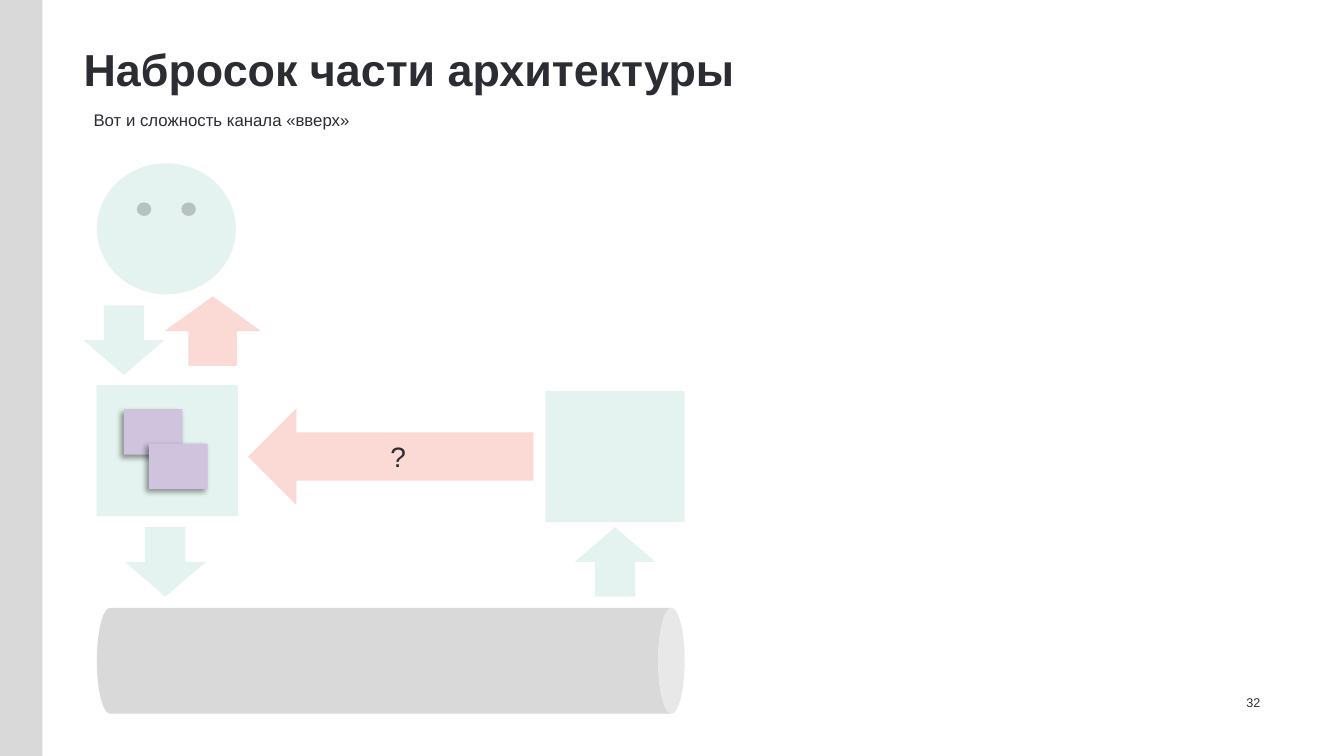
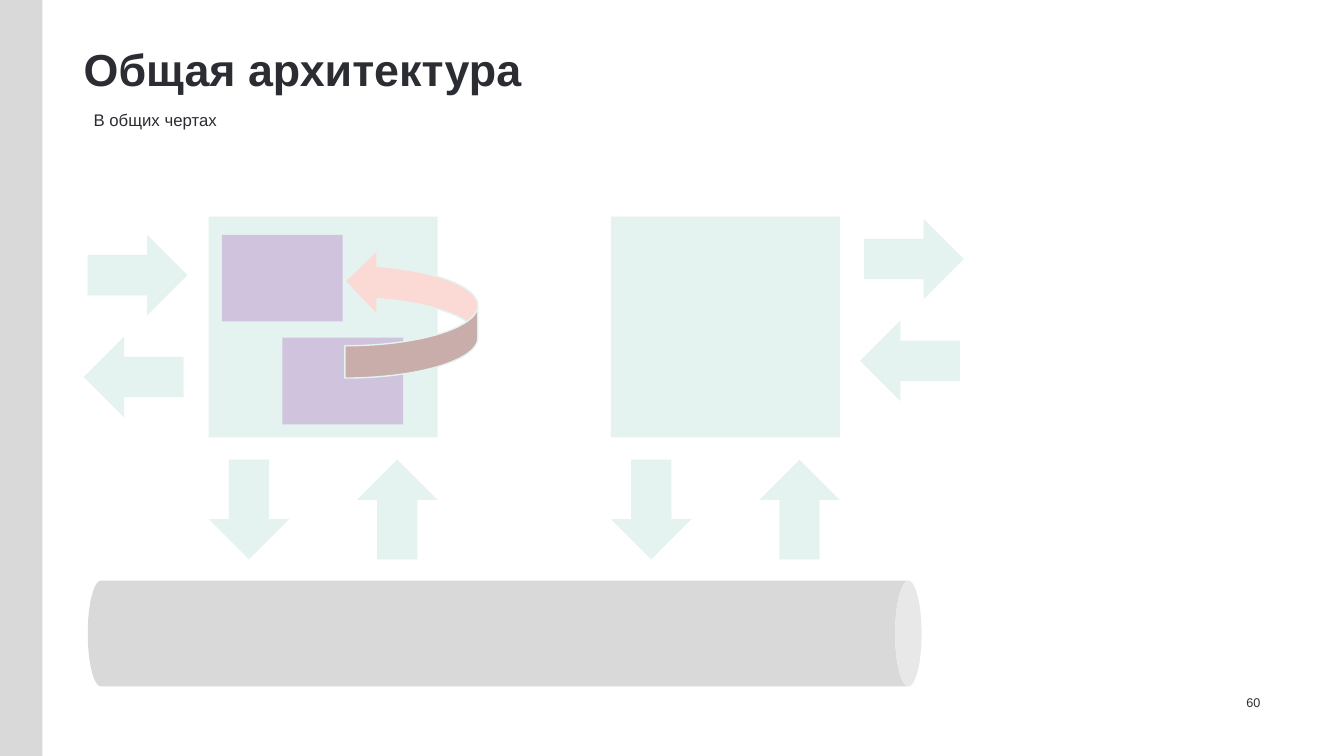
from dataclasses import dataclass

from lxml.etree import SubElement
from pptx import Presentation
from pptx.dml.color import RGBColor
from pptx.enum.shapes import MSO_SHAPE
from pptx.enum.text import MSO_ANCHOR, PP_ALIGN
from pptx.oxml.ns import qn
from pptx.util import Inches, Pt


@dataclass(frozen=True)
class Theme:
    font: str = "Arial"
    ink: str = "2B2D33"
    grey: str = "D9D9D9"
    mint: str = "E5F3F0"
    pink: str = "FBD9D5"
    lilac: str = "CFC3DD"
    shadow: str = "000000"
    title_size: int = 32
    mark_size: int = 20
    subtitle_size: int = 12
    number_size: int = 9


@dataclass(frozen=True)
class Box:
    """A rectangle in inches, as it is seen on the slide."""
    left: float
    top: float
    width: float
    height: float

    def inner(self, left, top, width, height):
        return Box(self.left + left, self.top + top, width, height)

    def turned(self):
        """The upright frame that covers this box after a quarter turn."""
        shift = (self.width - self.height) / 2
        return self.inner(shift, -shift, self.height, self.width)

    def lengths(self):
        return [Inches(side) for side in (self.left, self.top, self.width, self.height)]


THEME = Theme()
ARROW_ACROSS = 0.8


def add_figure(page, preset, box, color, rotation=0):
    figure = page.shapes.add_shape(preset, *box.lengths())
    figure.shadow.inherit = False
    figure.fill.solid()
    figure.fill.fore_color.rgb = RGBColor.from_string(color)
    figure.line.fill.background()
    figure.rotation = rotation
    return figure


def add_text(page, box, text, size, bold=False, align=PP_ALIGN.LEFT,
             anchor=MSO_ANCHOR.TOP, left_inset=0.1, right_inset=0.1,
             wrap=True, line_spacing=1.0):
    frame = page.shapes.add_textbox(*box.lengths()).text_frame
    frame.word_wrap = wrap
    frame.vertical_anchor = anchor
    frame.margin_left, frame.margin_right = Inches(left_inset), Inches(right_inset)
    para = frame.paragraphs[0]
    para.text = text
    para.alignment = align
    para.line_spacing = line_spacing
    para.font.name = THEME.font
    para.font.size = Pt(size)
    para.font.bold = bold
    para.font.color.rgb = RGBColor.from_string(THEME.ink)


def add_soft_shadow(figure):
    effects = figure._element.spPr.find(qn("a:effectLst"))
    shadow = SubElement(effects, qn("a:outerShdw"), blurRad=str(Pt(4)),
                        dist=str(Pt(3)), dir=str(135 * 60000), rotWithShape="0")
    color = SubElement(shadow, qn("a:srgbClr"), val=THEME.shadow)
    SubElement(color, qn("a:alpha"), val="40000")


def add_page(deck, title, subtitle, number):
    page = deck.slides.add_slide(deck.slide_layouts[6])
    add_figure(page, MSO_SHAPE.RECTANGLE, Box(0, 0, 0.42, 7.5), THEME.grey)
    add_text(page, Box(0.83, 0.42, 11.67, 0.62), title, THEME.title_size,
             bold=True, left_inset=0, line_spacing=0.9)
    add_text(page, Box(0.83, 1.04, 5, 0.42), subtitle, THEME.subtitle_size)
    add_text(page, Box(11.67, 6.67, 0.83, 0.42), number, THEME.number_size,
             align=PP_ALIGN.RIGHT, anchor=MSO_ANCHOR.BOTTOM, right_inset=0)
    return page


def add_bus(page, box):
    add_figure(page, MSO_SHAPE.CAN, box.turned(), THEME.grey, rotation=90)


def add_user_column(page, box):
    """User on top, exchanging with a service that writes to the bus."""
    add_figure(page, MSO_SHAPE.SMILEY_FACE, box.inner(0.13, 0, 1.38, 1.3), THEME.mint)
    add_figure(page, MSO_SHAPE.RECTANGLE, box.inner(0.13, 2.2, 1.4, 1.3), THEME.mint)
    for left, top in ((0, 1.41), (0.41, 3.61)):
        add_figure(page, MSO_SHAPE.DOWN_ARROW,
                   box.inner(left, top, ARROW_ACROSS, 0.69), THEME.mint)
    add_figure(page, MSO_SHAPE.UP_ARROW, box.inner(0.8, 1.32, 0.96, 0.69), THEME.pink)
    for left, top in ((0.4, 2.44), (0.65, 2.78)):
        add_soft_shadow(add_figure(page, MSO_SHAPE.RECTANGLE,
                                   box.inner(left, top, 0.58, 0.45), THEME.lilac))


def add_source_column(page, box):
    add_figure(page, MSO_SHAPE.RECTANGLE, box.inner(0, 0, box.width, 1.3), THEME.mint)
    add_figure(page, MSO_SHAPE.UP_ARROW,
               box.inner(0.29, 1.35, ARROW_ACROSS, 0.69), THEME.mint)


def add_open_channel(page, box):
    add_figure(page, MSO_SHAPE.LEFT_ARROW, box, THEME.pink)
    add_text(page, box.inner(1.4, 0.26, 0.18, 0.44), "?", THEME.mark_size,
             align=PP_ALIGN.CENTER, left_inset=0, right_inset=0, wrap=False)


def add_node(page, box):
    """Square node with a down and an up arrow under its two sides."""
    add_figure(page, MSO_SHAPE.RECTANGLE, box, THEME.mint)
    for preset, left in ((MSO_SHAPE.DOWN_ARROW, 0),
                         (MSO_SHAPE.UP_ARROW, box.width - ARROW_ACROSS)):
        add_figure(page, preset, box.inner(left, 2.41, ARROW_ACROSS, 0.99), THEME.mint)


def add_side_exchange(page, box):
    for preset, left, top in ((MSO_SHAPE.RIGHT_ARROW, 0.04, 0),
                              (MSO_SHAPE.LEFT_ARROW, 0, 1.01)):
        add_figure(page, preset, box.inner(left, top, 0.99, ARROW_ACROSS), THEME.mint)


def add_inner_loop(page, box):
    """Two modules in a node, the lower one feeding the upper one."""
    for left, top in ((0.13, 0.18), (0.73, 1.2)):
        add_figure(page, MSO_SHAPE.RECTANGLE, box.inner(left, top, 1.2, 0.86), THEME.lilac)
    loop = add_figure(page, MSO_SHAPE.CURVED_UP_ARROW,
                      box.inner(1.35, 0.32, 1.32, 1.28).turned(), THEME.pink, rotation=270)
    loop.line.color.rgb = RGBColor.from_string(THEME.mint)
    loop.line.width = Pt(1)


def add_sketch_page(deck):
    page = add_page(deck, "Набросок части архитектуры",
                    "Вот и сложность канала «вверх»", "32")
    add_bus(page, Box(0.96, 6.03, 5.83, 1.05))
    add_user_column(page, Box(0.83, 1.62, 1.76, 4.3))
    add_source_column(page, Box(5.41, 3.88, 1.38, 2.04))
    add_open_channel(page, Box(2.46, 4.05, 2.83, 0.96))


def add_overview_page(deck):
    page = add_page(deck, "Общая архитектура", "В общих чертах", "60")
    add_bus(page, Box(0.87, 5.76, 8.27, 1.05))
    nodes = [Box(left, 2.15, 2.27, 2.19) for left in (2.07, 6.06)]
    for node in nodes:
        add_node(page, node)
    for left, top in ((0.83, 2.33), (8.53, 2.17)):
        add_side_exchange(page, Box(left, top, 1.03, 1.81))
    add_inner_loop(page, nodes[0])


def main():
    deck = Presentation()
    deck.slide_width, deck.slide_height = Inches(13.33), Inches(7.5)
    add_sketch_page(deck)
    add_overview_page(deck)
    deck.save("out.pptx")


if __name__ == "__main__":
    main()
